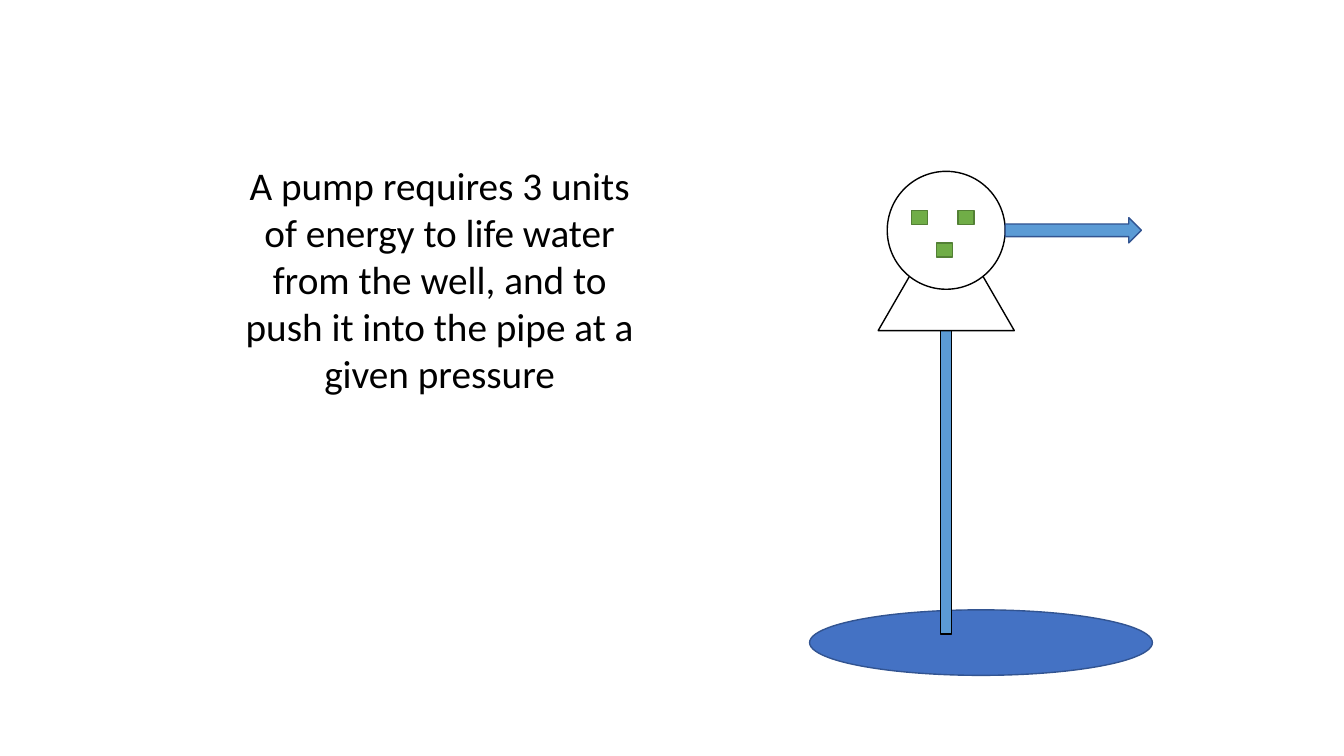
from pptx import Presentation
from pptx.dml.color import RGBColor
from pptx.enum.shapes import MSO_SHAPE
from pptx.enum.text import MSO_AUTO_SIZE, PP_ALIGN
from pptx.util import Inches, Pt

OVAL = MSO_SHAPE.OVAL
RECTANGLE = MSO_SHAPE.RECTANGLE
TRIANGLE = MSO_SHAPE.ISOSCELES_TRIANGLE
RIGHT_ARROW = MSO_SHAPE.RIGHT_ARROW

BLACK, WHITE = "000000", "FFFFFF"
WELL_BLUE, PIPE_BLUE, DARK_BLUE = "4472C4", "5B9BD5", "325491"
GREEN, DARK_GREEN = "70AD47", "538035"


def color(hex_string):
    return RGBColor.from_string(hex_string)


def add_part(group, kind, box, fill, line):
    """Add a filled, outlined shape; box is left, top, width, height in inches."""
    shape = group.shapes.add_shape(kind, *(Inches(length) for length in box))
    shape.shadow.inherit = False
    shape.fill.solid()
    shape.fill.fore_color.rgb = color(fill)
    shape.line.color.rgb = color(line)
    shape.line.width = Pt(1)


presentation = Presentation()
presentation.slide_width = Inches(13.33)
presentation.slide_height = Inches(7.5)
BLANK_LAYOUT = presentation.slide_layouts[6]
slide = presentation.slides.add_slide(BLANK_LAYOUT)

# Pump, pipes and well; the pipe, base and housing share one vertical axis
pump = slide.shapes.add_group_shape()
axis = 9.385
base_bottom = 3.28
add_part(pump, OVAL, (8.03, 6.05, 3.4, 0.65), WELL_BLUE, DARK_BLUE)
for kind, width, top, height, fill in (
    (RECTANGLE, 0.11, base_bottom, 3.01, PIPE_BLUE),
    (TRIANGLE, 1.35, base_bottom - 1.17, 1.17, WHITE),
    (OVAL, 1.17, 1.7, 1.17, WHITE),
):
    add_part(pump, kind, (axis - width / 2, top, width, height), fill, BLACK)
add_part(pump, RIGHT_ARROW, (9.97, 2.16, 1.35, 0.25), PIPE_BLUE, DARK_BLUE)

# One square per unit of energy
for left, top in ((9.04, 2.09), (9.5, 2.09), (9.29, 2.41)):
    add_part(pump, RECTANGLE, (left, top, 0.16, 0.14), GREEN, DARK_GREEN)

# Explanation
explanation = slide.shapes.add_textbox(Inches(2.24), Inches(1.55), Inches(4.24), Inches(2.46))
text_frame = explanation.text_frame
text_frame.word_wrap = True
text_frame.auto_size = MSO_AUTO_SIZE.SHAPE_TO_FIT_TEXT
paragraph = text_frame.paragraphs[0]
paragraph.text = (
    "A pump requires 3 units of energy to life water from the well, "
    "and to push it into the pipe at a given pressure"
)
paragraph.alignment = PP_ALIGN.CENTER
paragraph.font.name = "Calibri"
paragraph.font.size = Pt(28)
paragraph.font.color.rgb = color(BLACK)

presentation.save("out.pptx")
